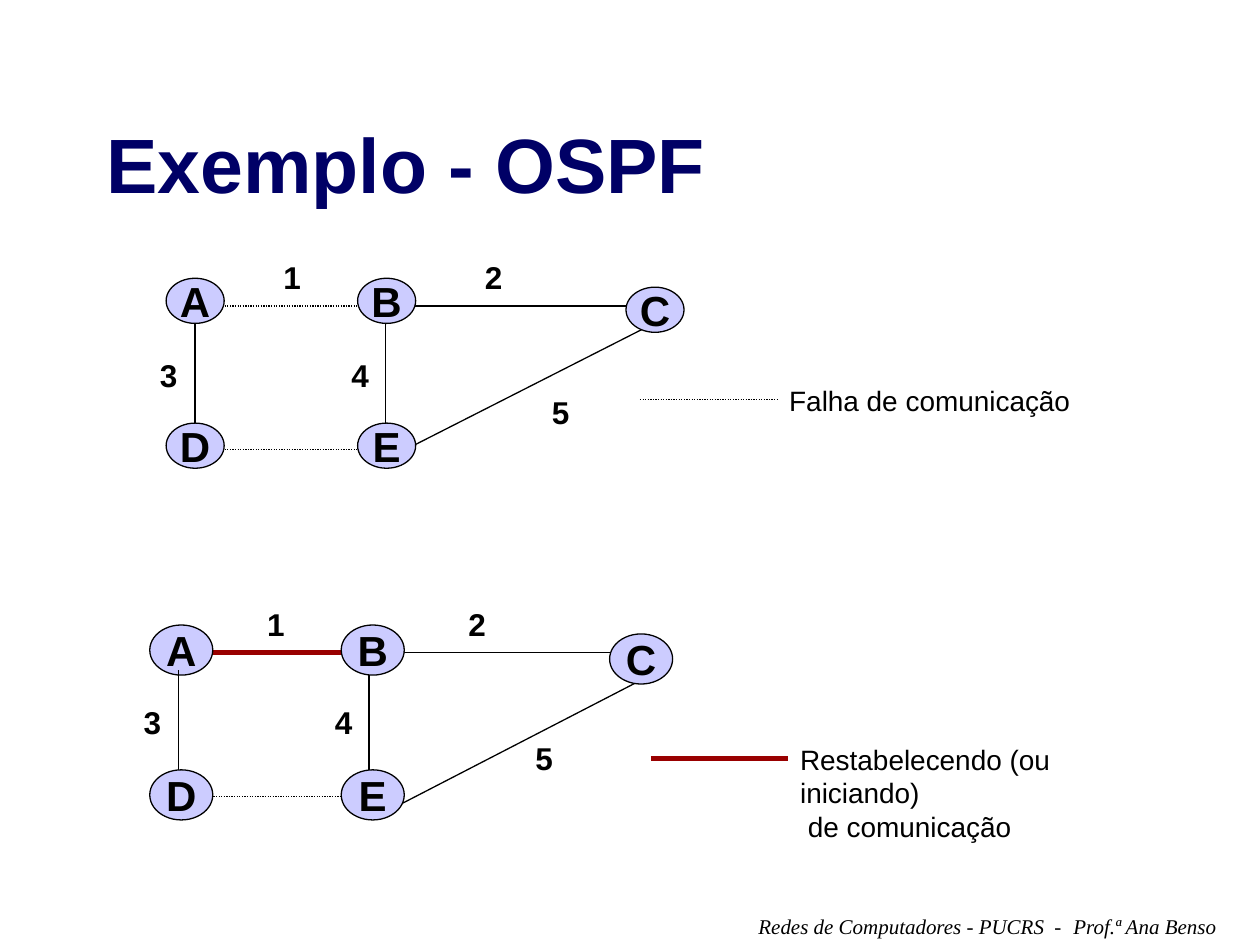
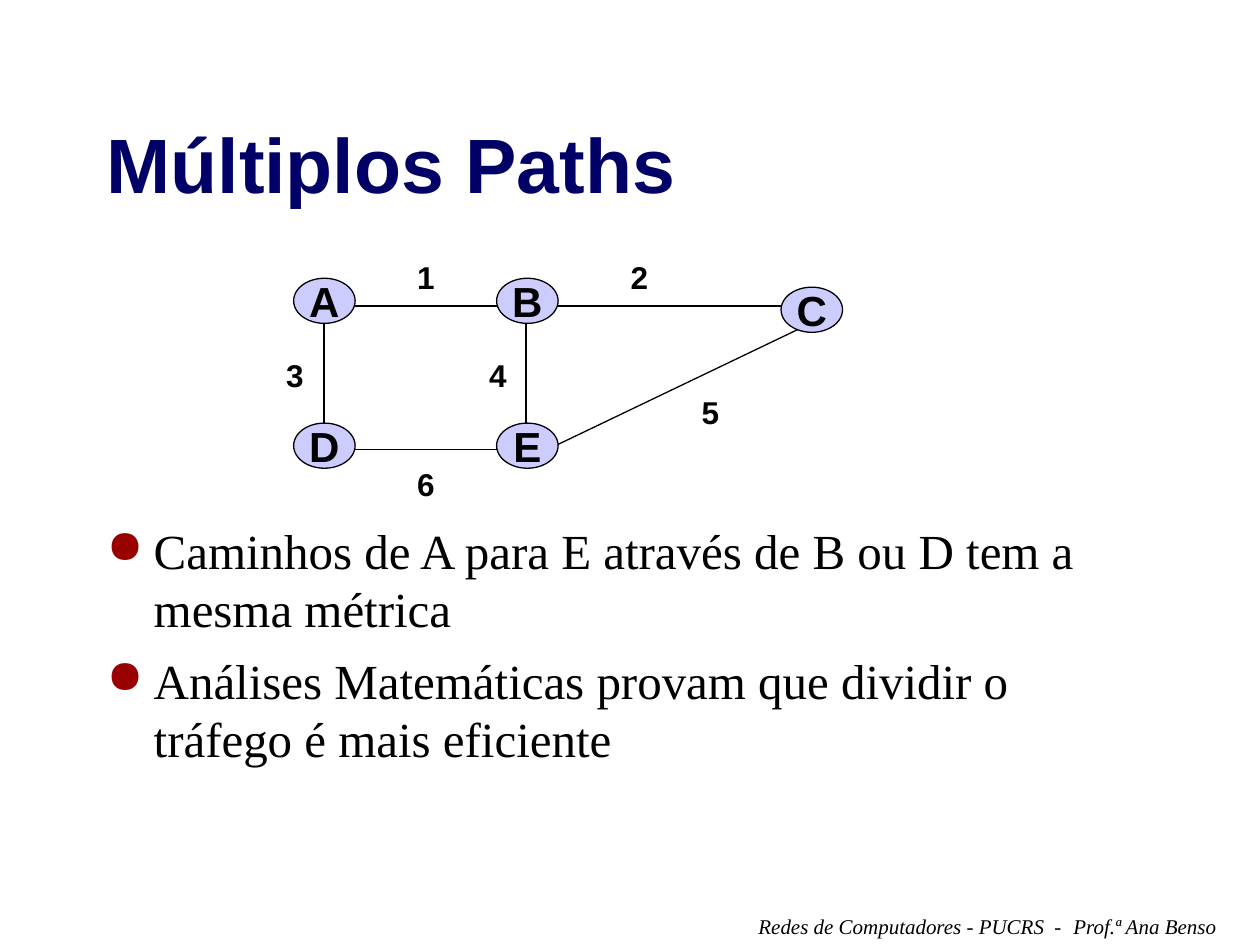
from lxml.etree import SubElement
from pptx import Presentation
from pptx.dml.color import RGBColor
from pptx.enum.dml import MSO_LINE
from pptx.enum.shapes import MSO_CONNECTOR, MSO_SHAPE
from pptx.enum.text import MSO_ANCHOR, PP_ALIGN
from pptx.oxml.ns import qn
from pptx.util import Cm, Pt

NAVY = RGBColor(0x00, 0x00, 0x66)
RED = RGBColor(0x99, 0x00, 0x00)
LILAC = RGBColor(0xCC, 0xCC, 0xFF)
BLACK = RGBColor(0x00, 0x00, 0x00)

TITLE = {"name": "Arial", "size": Pt(44), "bold": True}
NODE = {"name": "Arial", "size": Pt(24), "bold": True}
COST = {"name": "Arial", "size": Pt(18), "bold": True}
LEGEND = {"name": "Arial", "size": Pt(16)}
BODY = {"name": "Times New Roman", "size": Pt(28)}
FOOTER = {"name": "Times New Roman", "size": Pt(12), "italic": True}

SOLID = {"width": Pt(0.75)}
FAILED = {"width": Pt(0.75), "dash_style": MSO_LINE.ROUND_DOT}
RESTORED = {"width": Pt(3)}

NODES = {"A": (0, 0), "B": (3.86, 0), "C": (9.27, 0.18), "D": (0, 2.92), "E": (3.86, 2.92)}
LINKS = {
    "AB": (0.97, 0.56, 4.04, 0.56),
    "BC": (4.83, 0.56, 9.45, 0.56),
    "AD": (0.58, 0.91, 0.58, 3.1),
    "DE": (0.97, 3.45, 4.04, 3.45),
    "EC": (4.83, 3.45, 9.83, 0.91),
    "BE": (4.42, 0.91, 4.42, 3.1),
}
COSTS = {
    "1": (2.11, -0.53),
    "2": (6.17, -0.53),
    "3": (-0.38, 1.45),
    "4": (3.48, 1.45),
    "5": (7.52, 2.18),
    "6": (2.11, 3.63),
}


def apply_format(target, values):
    for name, value in values.items():
        setattr(target, name, value)


def write(frame, lines, style, color=BLACK, align=PP_ALIGN.LEFT):
    for index, line in enumerate(lines):
        paragraph = frame.paragraphs[0] if index == 0 else frame.add_paragraph()
        paragraph.alignment = align
        run = paragraph.add_run()
        run.text = line
        apply_format(run.font, style)
        run.font.color.rgb = color


def add_text(slide, box, lines, style, color=BLACK, align=PP_ALIGN.LEFT,
             wrap=False, anchor=MSO_ANCHOR.TOP):
    frame = slide.shapes.add_textbox(*map(Cm, box)).text_frame
    apply_format(frame, {"word_wrap": wrap, "vertical_anchor": anchor})
    write(frame, lines, style, color, align)
    return frame


def add_bullets(slide, box, lines):
    frame = add_text(slide, box, lines, BODY, wrap=True)
    for paragraph in frame.paragraphs:
        paragraph.space_before = Pt(7)
        properties = paragraph._p.get_or_add_pPr()
        properties.set("marL", str(Cm(0.95)))
        properties.set("indent", str(-Cm(0.95)))
        color = SubElement(properties, qn("a:buClr"))
        SubElement(color, qn("a:srgbClr"), val=str(RED))
        SubElement(properties, qn("a:buSzPct"), val="95000")
        SubElement(properties, qn("a:buChar"), char="●")


def add_line(slide, ends, style=SOLID):
    connector = slide.shapes.add_connector(MSO_CONNECTOR.STRAIGHT, *map(Cm, ends))
    connector.line.color.rgb = RED if style is RESTORED else BLACK
    apply_format(connector.line, style)
    SubElement(connector._element.spPr, qn("a:effectLst"))


def add_node(slide, name, box):
    shape = slide.shapes.add_shape(MSO_SHAPE.OVAL, *map(Cm, box))
    shape.shadow.inherit = False
    shape.fill.solid()
    shape.fill.fore_color.rgb = LILAC
    shape.line.color.rgb = BLACK
    shape.line.width = Pt(0.75)
    frame = shape.text_frame
    apply_format(frame, {"word_wrap": False, "vertical_anchor": MSO_ANCHOR.MIDDLE})
    write(frame, [name], NODE, align=PP_ALIGN.CENTER)


def add_network(slide, left, top, costs="12345", styles={}, stretch=1,
                node_size=(1.17, 0.91), diagonal=LINKS["EC"]):
    def place(x, y):
        return left + x * stretch, top + y

    def draw_link(name):
        x1, y1, x2, y2 = links[name]
        add_line(slide, place(x1, y1) + place(x2, y2), styles.get(name, SOLID))

    def draw_node(name):
        add_node(slide, name, place(*NODES[name]) + (node_size[0] * stretch, node_size[1]))

    links = {**LINKS, "EC": diagonal}
    draw_link("AB")
    draw_node("A")
    for name in list(links)[1:]:
        draw_link(name)
    for cost in costs:
        add_text(slide, place(*COSTS[cost]) + (0.86, 1.01), [cost], COST,
                 align=PP_ALIGN.CENTER)
    for name in "BCDE":
        draw_node(name)


def add_legend(slide, left, top, lines, style):
    add_line(slide, (left, top, left + 2.76, top), style)
    add_text(slide, (left + 2.76, top - 0.45, 8.1, 0.94), lines, LEGEND)


def add_titled_slide(presentation, title):
    slide = presentation.slides.add_slide(presentation.slide_layouts[6])
    add_text(slide, (21.39, 18.29, 3.4, 0.76), ["Prof.ª Ana Benso"], FOOTER)
    add_text(slide, (15.04, 18.29, 6.63, 0.76), ["Redes de Computadores - PUCRS  -"], FOOTER)
    add_text(slide, (1.9, 1.7, 21.6, 3.18), [title], TITLE, NAVY,
             wrap=True, anchor=MSO_ANCHOR.MIDDLE)
    return slide


def main():
    presentation = Presentation()
    presentation.slide_width = Cm(25.4)
    presentation.slide_height = Cm(19.05)

    example = add_titled_slide(presentation, "Exemplo - OSPF")
    add_network(example, 3.35, 5.61, styles={"AB": FAILED, "DE": FAILED})
    add_legend(example, 12.9, 8.05, ["Falha de comunicação"], FAILED)
    add_network(example, 3.02, 12.6, styles={"AB": RESTORED, "DE": FAILED},
                node_size=(1.27, 1.01), diagonal=(4.83, 3.73, 10.29, 0.91))
    add_legend(example, 13.12, 15.29,
               ["Restabelecendo (ou iniciando)", " de comunicação"], RESTORED)

    paths = add_titled_slide(presentation, "Múltiplos Paths")
    add_bullets(paths, (1.9, 10.36, 21.6, 7.82), [
        "Caminhos de A para E através de B ou D tem a mesma métrica",
        "Análises Matemáticas provam que dividir o tráfego é mais eficiente",
    ])
    add_network(paths, 5.92, 5.61, costs="123456", stretch=1.06)

    presentation.save("out.pptx")


if __name__ == "__main__":
    main()
